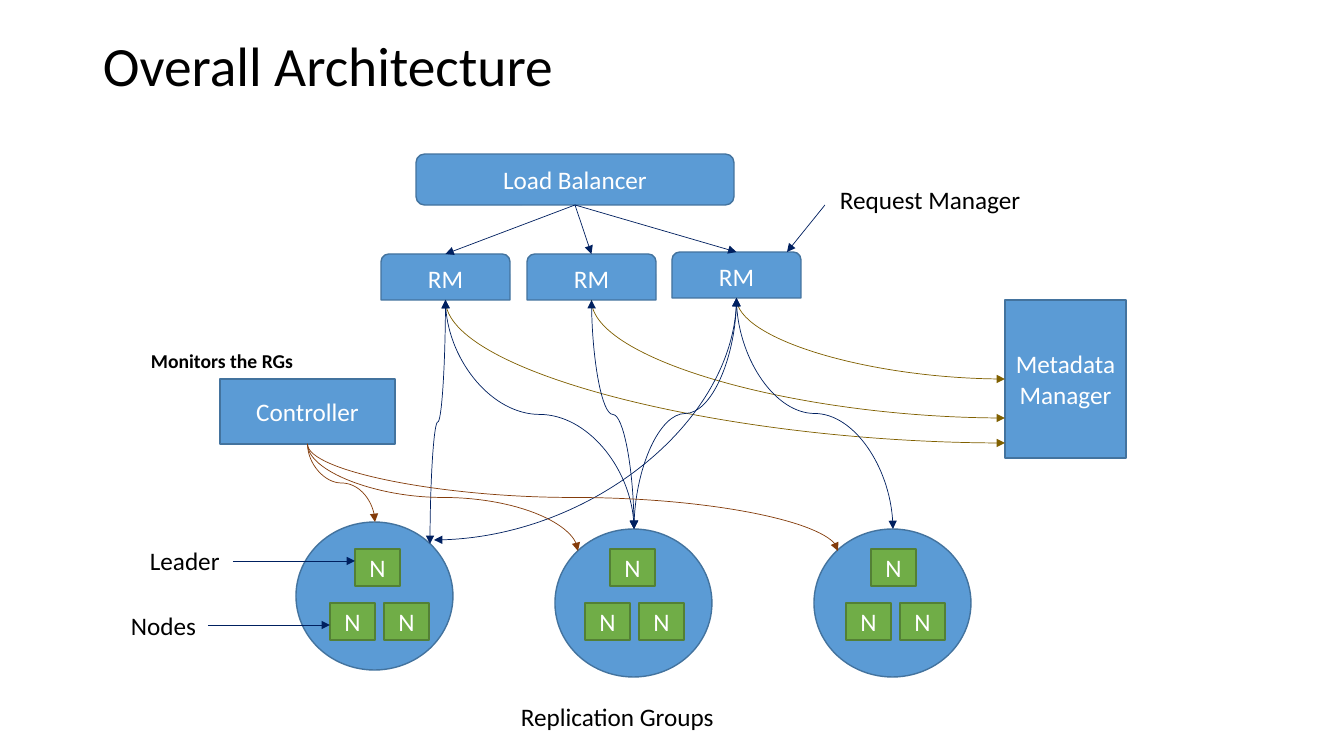
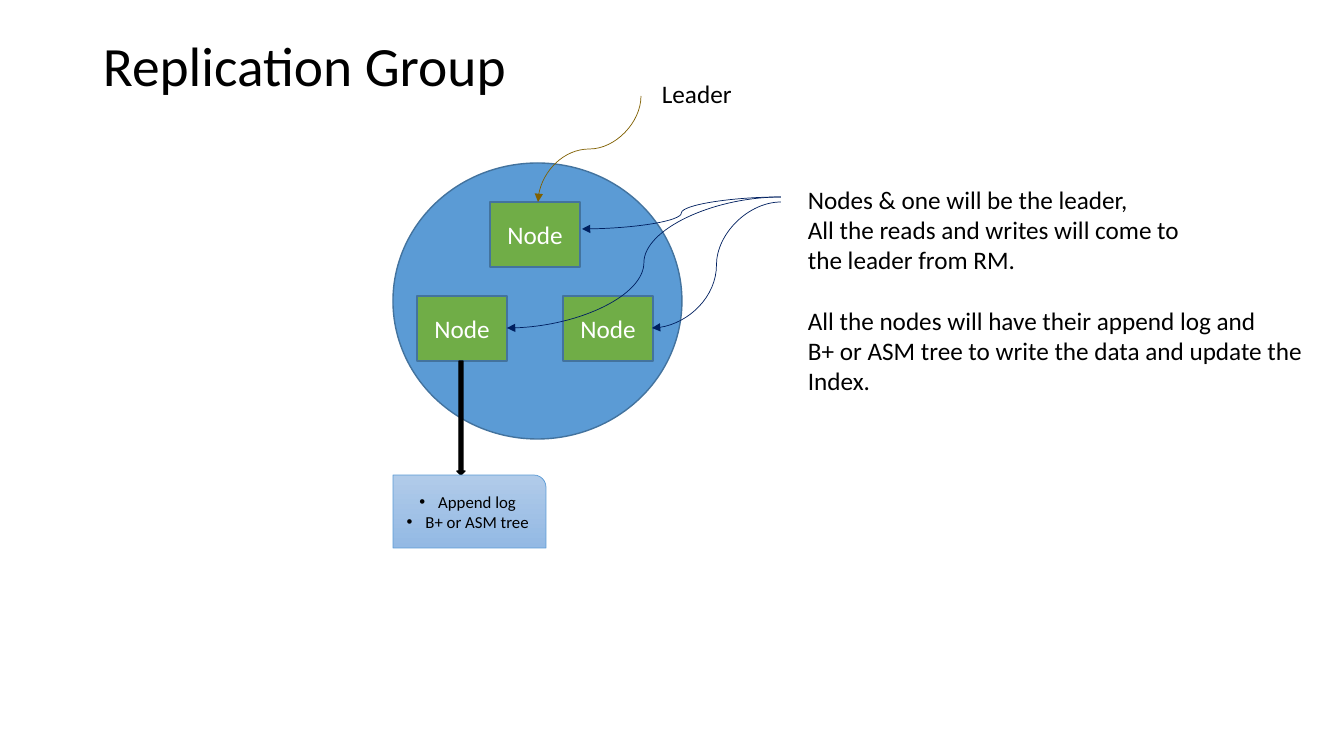
from lxml import etree
from pptx import Presentation
from pptx.dml.color import RGBColor
from pptx.enum.shapes import MSO_CONNECTOR, MSO_SHAPE
from pptx.enum.text import MSO_ANCHOR, PP_ALIGN
from pptx.oxml.ns import qn
from pptx.util import Emu, Pt

SCALE = 914400 / 100.8
FONT = "Calibri"
COLORS = {
    "black": "000000", "white": "FFFFFF", "blue": "5B9BD5", "edge": "43739E",
    "green": "70AD47", "moss": "538035", "navy": "002060", "gold": "806000",
    "rust": "843C0B", "pale": "B1CBE9", "sky": "93B9E4",
}
STRAIGHT, CURVE = MSO_CONNECTOR.STRAIGHT, MSO_CONNECTOR.CURVE
RECT, ROUND = MSO_SHAPE.RECTANGLE, MSO_SHAPE.ROUNDED_RECTANGLE
ROUND_TOP = MSO_SHAPE.ROUND_2_SAME_RECTANGLE
ROUND_ONE = MSO_SHAPE.ROUND_1_RECTANGLE
PROCESS = MSO_SHAPE.FLOWCHART_PROCESS
CIRCLE = MSO_SHAPE.FLOWCHART_CONNECTOR
ARROW = MSO_SHAPE.DOWN_ARROW
LEFT, CENTER = PP_ALIGN.LEFT, PP_ALIGN.CENTER
TOP, MIDDLE = MSO_ANCHOR.TOP, MSO_ANCHOR.MIDDLE


def px(*sizes):
    return [Emu(round(size * SCALE)) for size in sizes]


def rgb(name):
    return RGBColor.from_string(COLORS[name])


def write(frame, text, size=18, color="black", bold=False, align=LEFT,
          anchor=TOP, space=None, gaps=None, bullet=None):
    frame.word_wrap = True
    frame.vertical_anchor = anchor
    for row, words in enumerate(text.split("\n")):
        para = frame.add_paragraph() if row else frame.paragraphs[0]
        para.alignment = align
        if space:
            para.line_spacing = space
        if gaps and row in gaps:
            para.space_before = Pt(gaps[row])
        run = para.add_run()
        run.text = words
        run.font.name = FONT
        run.font.size = Pt(size)
        run.font.bold = bold
        run.font.color.rgb = rgb(color)
        if bullet:
            props = para._p.get_or_add_pPr()
            props.set("marL", "171450")
            props.set("indent", "-171450")
            etree.SubElement(props, qn("a:buFont")).set("typeface", "Arial")
            etree.SubElement(props, qn("a:buChar")).set("char", bullet)


class Deck:
    def __init__(self):
        self.show = Presentation()
        self.show.slide_width, self.show.slide_height = px(1344, 756)
        self.slide = None

    def page(self, title):
        self.slide = self.show.slides.add_slide(self.show.slide_layouts[6])
        self.label(title, 93, 40, 1159, 58, size=39.6, anchor=MIDDLE, space=0.9)

    def label(self, text, x, y, w, h=40, **fmt):
        box = self.slide.shapes.add_textbox(*px(x, y, w, h))
        write(box.text_frame, text, **fmt)

    def shape(self, kind, x, y, w, h, text="", fill="blue", edge="edge",
              width=1, color="white", **fmt):
        item = self.slide.shapes.add_shape(kind, *px(x, y, w, h))
        item.shadow.inherit = False
        if isinstance(fill, tuple):
            item.fill.gradient()
            item.fill.gradient_angle = 270
            for stop, name in zip(item.fill.gradient_stops, fill):
                stop.color.rgb = rgb(name)
        else:
            item.fill.solid()
            item.fill.fore_color.rgb = rgb(fill)
        item.line.color.rgb = rgb(edge)
        item.line.width = Pt(width)
        if text:
            write(item.text_frame, text, color=color, align=CENTER,
                  anchor=MIDDLE, **fmt)
        return item

    def finish(self, line, color, both=False):
        line.line.color.rgb = rgb(color)
        line.line.width = Pt(0.5)
        props = line.element.spPr
        stroke = props.find(qn("a:ln"))
        for end in ("a:headEnd", "a:tailEnd")[0 if both else 1:]:
            etree.SubElement(stroke, qn(end)).set("type", "triangle")
        etree.SubElement(props, qn("a:effectLst"))

    def line(self, start, end, color="navy"):
        line = self.slide.shapes.add_connector(STRAIGHT, *px(*start, *end))
        self.finish(line, color)
        return line

    def curve(self, start, end, color="navy", both=False):
        line = self.slide.shapes.add_connector(CURVE, *px(*start, *end))
        self.finish(line, color, both)

    def drop(self, start, end, color="navy", both=False, bend=False):
        (x1, y1), (x2, y2) = start, end
        mid_x, mid_y = (x1 + x2) / 2, (y1 + y2) / 2
        half_w, half_h = (y2 - y1) / 2, abs(x2 - x1) / 2
        side = 1 if x2 > x1 else -1
        line = self.slide.shapes.add_connector(CURVE, *px(
            mid_x + side * half_w, mid_y - half_h,
            mid_x - side * half_w, mid_y + half_h))
        props = line.element.spPr
        turn = 270 if side > 0 else 90
        props.find(qn("a:xfrm")).set("rot", str(turn * 60000))
        if bend:
            props.find(qn("a:prstGeom")).set("prst", "curvedConnector2")
        self.finish(line, color, both)


def draw_whole(deck):
    deck.page("Overall Architecture")
    front = deck.shape(ROUND, 416, 154, 318, 51, "Load Balancer")
    spots = [(381, 254), (527, 254), (672, 252)]
    boxes = [deck.shape(ROUND_TOP, x, y, 129, 46, "RM") for x, y in spots]
    deck.shape(PROCESS, 1005, 300, 121, 158, "Metadata Manager")
    deck.shape(PROCESS, 220, 379, 175, 65, "Controller")

    for x, y, node_x in ((296, 522, 355), (555, 529, 610), (814, 529, 871)):
        deck.shape(CIRCLE, x, y, 157, 148)
        for dx, dy in ((0, 0), (29, 54), (-25, 54)):
            deck.shape(RECT, node_x + dx, 549 + dy, 45, 37, "N",
                       fill="green", edge="moss")

    deck.label("Replication Groups", 511, 696, 264)
    deck.label("Leader", 140, 540, 100)
    deck.label("Nodes", 121, 605, 100)
    deck.label("Request Manager", 830, 179, 203)
    deck.label("Monitors the RGs", 141, 344, 163, 34, size=14, bold=True)
    for start, end in (((233, 561), (355, 561)), ((208, 625), (330, 625)),
                       ((825, 205), (787, 252))):
        deck.line(start, end)

    feet = [(x + 64.5, y + 46) for x, y in spots]
    for foot, y in zip(feet, (443, 418, 379)):
        deck.drop(foot, (1005, y), "gold", bend=True)
    for foot, end in ((0, (430, 544)), (1, (634, 529)), (2, (893, 529)),
                      (0, (634, 529)), (2, (634, 529))):
        deck.drop(feet[foot], end, both=True)
    deck.drop(feet[2], (434, 540), both=True, bend=True)
    for end in ((375, 522), (578, 551), (838, 551)):
        deck.drop((307.5, 444), end, "rust")

    for box, (x, y) in zip(boxes, spots):
        top = (x + 64.5, y)
        line = deck.line((575, 205), top)
        line.begin_connect(front, 2)
        line.end_connect(box, 3)
        line.end_x, line.end_y = px(*top)


def draw_group(deck):
    deck.page("Replication Group")
    deck.shape(CIRCLE, 393, 163, 289, 276)
    for x, y in ((490, 202), (563, 296), (417, 296)):
        deck.shape(PROCESS, x, y, 90, 65, "Node", fill="green")
    for start, end in (((781, 197), (582, 229)), ((781, 202), (652, 328)),
                       ((781, 197), (507, 328))):
        deck.curve(start, end)
    deck.label("Nodes & one will be the leader,\n"
               "All the reads and writes will come to\n"
               "the leader from RM.\n"
               "All the nodes will have their append log and\n"
               "B+ or ASM tree to write the data and update the\n"
               "Index.", 798, 179, 525, 254, gaps={3: 21.6})
    deck.drop((641, 96), (538, 202), "gold")
    deck.label("Leader", 652, 73, 91)
    deck.shape(ARROW, 457, 361, 8, 114, fill="black", edge="black")
    deck.shape(ROUND_ONE, 393, 475, 153, 73, "Append log\nB+ or ASM tree",
               fill=("pale", "sky"), edge="blue", width=0.5, color="black",
               size=12, bullet="•")


def main():
    deck = Deck()
    draw_whole(deck)
    draw_group(deck)
    deck.show.save("out.pptx")


if __name__ == "__main__":
    main()
